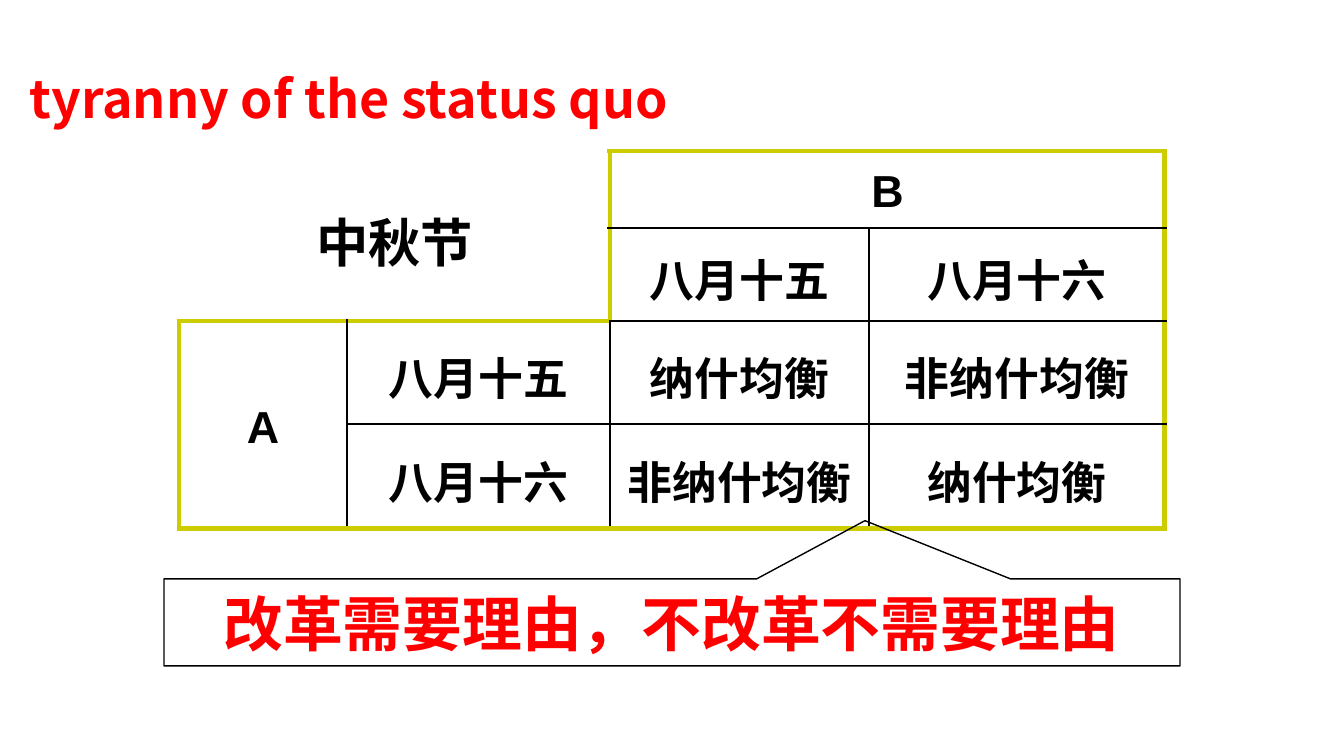
from pptx import Presentation
from pptx.dml.color import RGBColor
from pptx.enum.shapes import MSO_SHAPE
from pptx.enum.text import MSO_ANCHOR, MSO_AUTO_SIZE, PP_ALIGN
from pptx.oxml.ns import qn
from pptx.util import Pt
from lxml.etree import SubElement

SCALE = 914400 / 134.4
CJK = "Noto Sans CJK SC"
BLACK, RED, GOLD = "000000", "FF0000", "CCCC00"
COLS = [168, 263, 259, 296]
ROWS = [77, 77, 103, 105]

# text, row, column, rows spanned, columns spanned, size
CELLS = [
    ("中秋节", 0, 0, 2, 2, 28),
    ("B", 0, 2, 1, 2, 24),
    ("八月十五", 1, 2, 1, 1, 24),
    ("八月十六", 1, 3, 1, 1, 24),
    ("A", 2, 0, 2, 1, 24),
    ("八月十五", 2, 1, 1, 1, 24),
    ("纳什均衡", 2, 2, 1, 1, 24),
    ("非纳什均衡", 2, 3, 1, 1, 24),
    ("八月十六", 3, 1, 1, 1, 24),
    ("非纳什均衡", 3, 2, 1, 1, 24),
    ("纳什均衡", 3, 3, 1, 1, 24),
]


def px(n):
    return round(n * SCALE)


def color(code):
    return RGBColor.from_string(code)


def write(frame, text, size, font="Arial", ink=BLACK, align=PP_ALIGN.CENTER,
          space=1.0, base=0):
    para = frame.paragraphs[0]
    para.alignment = align
    para.line_spacing = space
    run = para.add_run()
    run.text = text
    run.font.size = Pt(size)
    run.font.bold = True
    run.font.name = font
    run.font.color.rgb = color(ink)
    props = run.font._element
    SubElement(props, qn("a:ea")).set("typeface", CJK)
    if base:
        props.set("baseline", str(base * 1000))


def title(slide, x, y, w, h):
    shape = slide.shapes.title
    shape.left, shape.top, shape.width, shape.height = map(px, (x, y, w, h))
    frame = shape.text_frame
    frame.word_wrap = True
    frame.auto_size = MSO_AUTO_SIZE.NONE
    frame.vertical_anchor = MSO_ANCHOR.TOP
    write(frame, "tyranny of the status quo", 48, font=CJK, ink=RED,
          align=PP_ALIGN.LEFT, base=-25)


def outside(row, col):
    """True beyond the grid and in its open top left corner."""
    inside = 0 <= row < len(ROWS) and 0 <= col < len(COLS)
    return not inside or (row < 2 and col < 2)


def border(cell, row, col, down, across):
    """Gold where the grid meets the outside, black between its cells."""
    sides = {
        "a:lnL": (row, col - 1),
        "a:lnR": (row, col + across),
        "a:lnT": (row - 1, col),
        "a:lnB": (row + down, col),
    }
    props = cell._tc.get_or_add_tcPr()
    for tag, near in sides.items():
        line = SubElement(props, qn(tag))
        count = outside(row, col) + outside(*near)
        if count == 2:
            SubElement(line, qn("a:noFill"))
            continue
        line.set("w", str(Pt(3 if count else 1)))
        fill = SubElement(line, qn("a:solidFill"))
        SubElement(fill, qn("a:srgbClr")).set("val", GOLD if count else BLACK)


def matrix(slide, x, y):
    """Payoff table of players A and B."""
    table = slide.shapes.add_table(
        len(ROWS), len(COLS), px(x), px(y), px(sum(COLS)), px(sum(ROWS))).table
    table.first_row = table.horz_banding = False
    for col, w in zip(table.columns, COLS):
        col.width = px(w)
    for row, h in zip(table.rows, ROWS):
        row.height = px(h)
    for text, row, col, down, across, size in CELLS:
        cell = table.cell(row, col)
        if down * across > 1:
            cell.merge(table.cell(row + down - 1, col + across - 1))
        border(cell, row, col, down, across)
        cell.vertical_anchor = MSO_ANCHOR.MIDDLE
        cell.margin_left = cell.margin_right = px(13)
        cell.margin_top = cell.margin_bottom = px(5)
        write(cell.text_frame, text, size, space=1.1)
    for cell in table.iter_cells():
        cell.fill.background()


def callout(slide, x, y, w, h):
    shape = slide.shapes.add_shape(
        MSO_SHAPE.RECTANGULAR_CALLOUT, px(x), px(y), px(w), px(h))
    shape.adjustments[0] = 0.19
    shape.adjustments[1] = -1.17
    shape.shadow.inherit = False
    shape.fill.background()
    shape.line.color.rgb = color(BLACK)
    shape.line.width = Pt(0.75)
    frame = shape.text_frame
    frame.word_wrap = True
    frame.vertical_anchor = MSO_ANCHOR.MIDDLE
    write(frame, "改革需要理由，不改革不需要理由", 32, font="Calibri", ink=RED)


def main():
    deck = Presentation()
    deck.slide_width, deck.slide_height = px(1344), px(756)
    slide = deck.slides.add_slide(deck.slide_layouts[5])
    title(slide, 16, 0, 868, 173)
    matrix(slide, 179, 151)
    callout(slide, 164, 579, 1016, 87)
    deck.save("out.pptx")


if __name__ == "__main__":
    main()
